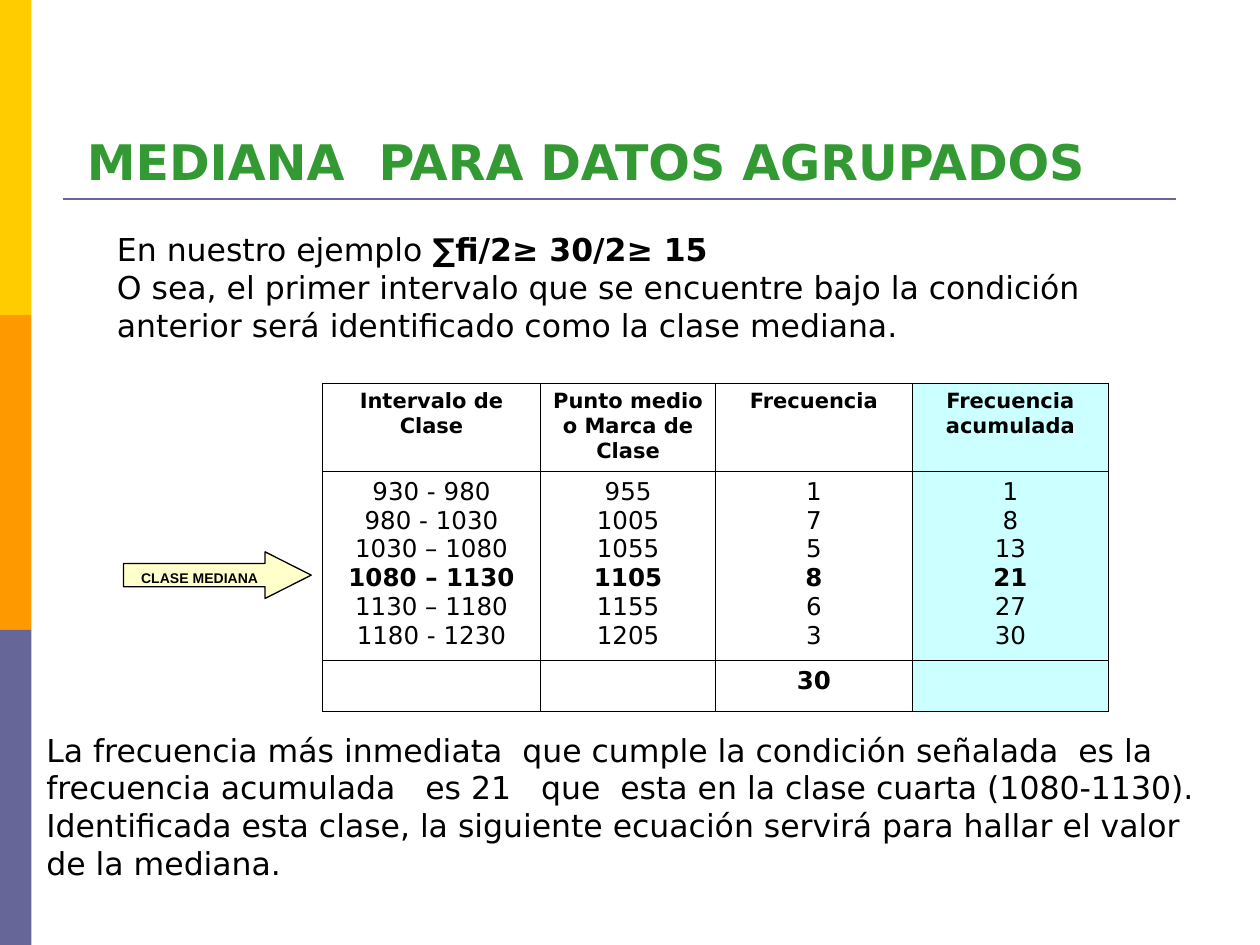
from lxml import etree
from pptx import Presentation
from pptx.dml.color import RGBColor
from pptx.enum import shapes, text
from pptx.oxml import ns
from pptx.util import Inches, Pt

INK = {
    "gold": "FFCC00", "orange": "FF9900", "slate": "666699",
    "green": "339933", "cream": "FFFFCC", "cyan": "CCFFFF", "black": "000000",
}
FONT = "DejaVu Sans"
HEADS = ["Intervalo de Clase", "Punto medio o Marca de Clase",
         "Frecuencia", "Frecuencia acumulada"]
DATA = [
    ["930 - 980", "955", "1", "1"],
    ["980 - 1030", "1005", "7", "8"],
    ["1030 – 1080", "1055", "5", "13"],
    ["1080 – 1130", "1105", "8", "21"],
    ["1130 – 1180", "1155", "6", "27"],
    ["1180 - 1230", "1205", "3", "30"],
]
MEDIAN = 3


def color(name):
    return RGBColor.from_string(INK[name])


def place(item, box):
    item.left, item.top, item.width, item.height = map(Inches, box)


def add_run(para, words, size, bold=False, ink="black", face=FONT):
    run = para.add_run()
    run.text = words
    run.font.size = Pt(size)
    run.font.bold = bold
    run.font.name = face
    run.font.color.rgb = color(ink)


def add_paras(frame, paras, size, align=text.PP_ALIGN.LEFT):
    for i, runs in enumerate(paras):
        para = frame.add_paragraph() if i else frame.paragraphs[0]
        para.alignment = align
        for words, bold in runs:
            add_run(para, words, size, bold)


def add_title(slide, words, box):
    title = slide.shapes.title
    place(title, box)
    frame = title.text_frame
    frame.auto_size = text.MSO_AUTO_SIZE.NONE
    frame.vertical_anchor = text.MSO_ANCHOR.TOP
    para = frame.paragraphs[0]
    para.alignment = text.PP_ALIGN.LEFT
    add_run(para, words, 28, True, "green")


def add_note(slide, paras, box):
    frame = slide.shapes.add_textbox(*map(Inches, box)).text_frame
    frame.word_wrap = True
    add_paras(frame, paras, 18)


def add_block(slide, kind, box, ink):
    block = slide.shapes.add_shape(kind, *map(Inches, box))
    block.shadow.inherit = False
    block.fill.solid()
    block.fill.fore_color.rgb = color(ink)
    block.line.fill.background()
    return block


def add_rule(slide, start, end):
    rule = slide.shapes.add_connector(
        shapes.MSO_CONNECTOR.STRAIGHT, *map(Inches, start + end))
    rule.line.color.rgb = color("slate")
    rule.line.width = Pt(1.5)
    etree.SubElement(rule._element.spPr, ns.qn("a:effectLst"))


def add_arrow(slide, words, box):
    arrow = add_block(slide, shapes.MSO_SHAPE.RIGHT_ARROW, box, "cream")
    arrow.adjustments[0] = 0.5
    arrow.adjustments[1] = 0.99
    arrow.line.color.rgb = color("black")
    arrow.line.width = Pt(0.75)
    frame = arrow.text_frame
    frame.margin_left = Inches(0.14)
    frame.vertical_anchor = text.MSO_ANCHOR.TOP
    para = frame.paragraphs[0]
    para.alignment = text.PP_ALIGN.LEFT
    add_run(para, words, 8, True, face="Arial")


def add_edges(cell):
    props = cell._tc.get_or_add_tcPr()
    for i, side in enumerate(("lnL", "lnR", "lnT", "lnB")):
        edge = etree.Element(ns.qn(f"a:{side}"), w=str(Pt(0.45)))
        fill = etree.SubElement(edge, ns.qn("a:solidFill"))
        etree.SubElement(fill, ns.qn("a:srgbClr"), val=INK["black"])
        props.insert(i, edge)


def add_grid(slide, box, cols, rows):
    grid = slide.shapes.add_table(
        len(rows), len(cols), *map(Inches, box)).table
    grid.first_row = grid.horz_banding = False
    for col, width in zip(grid.columns, cols):
        col.width = Inches(width)
    for row, height in zip(grid.rows, rows):
        row.height = Inches(height)
    last = len(cols) - 1
    for r in range(len(rows)):
        for c in range(len(cols)):
            cell = grid.cell(r, c)
            if c == last:
                cell.fill.solid()
                cell.fill.fore_color.rgb = color("cyan")
            else:
                cell.fill.background()
            add_edges(cell)
    mid = text.PP_ALIGN.CENTER
    for c, head in enumerate(HEADS):
        add_paras(grid.cell(0, c).text_frame, [[(head, True)]], 12, mid)
        paras = [[(row[c], i == MEDIAN)] for i, row in enumerate(DATA)]
        add_paras(grid.cell(1, c).text_frame, paras, 14, mid)
    total = str(sum(int(row[2]) for row in DATA))
    add_paras(grid.cell(2, 2).text_frame, [[(total, True)]], 14, mid)


def main():
    deck = Presentation()
    deck.slide_width, deck.slide_height = Inches(10), Inches(7.5)
    slide = deck.slides.add_slide(deck.slide_layouts[5])
    for i, ink in enumerate(("gold", "orange", "slate")):
        add_block(slide, shapes.MSO_SHAPE.RECTANGLE,
                  (0, 2.5 * i, 0.25, 2.5), ink)
    add_rule(slide, (0.5, 1.58), (9.33, 1.58))
    add_title(slide, "MEDIANA  PARA DATOS AGRUPADOS", (0.59, 0.99, 8.58, 0.57))
    add_arrow(slide, "CLASE MEDIANA", (0.98, 4.38, 1.49, 0.37))
    add_grid(slide, (2.56, 3.04, 6.24, 2.53),
             (1.73, 1.39, 1.56, 1.56), (0.7, 1.5, 0.33))
    add_note(slide, [
        [("En nuestro ejemplo ", False), ("∑fi/2≥ 30/2≥ 15", True)],
        [("O sea, el primer intervalo que se encuentre bajo la condición "
          "anterior será identificado como la clase mediana.", False)],
    ], (0.83, 1.78, 8.11, 1))
    add_note(slide, [
        [("La frecuencia más inmediata  que cumple la condición señalada  "
          "es la frecuencia acumulada   es 21   que  esta en la clase "
          "cuarta (1080-1130).", False)],
        [("Identificada esta clase, la siguiente ecuación servirá para "
          "hallar el valor de la mediana.", False)],
    ], (0.27, 5.75, 9.53, 1.6))
    deck.save("out.pptx")


if __name__ == "__main__":
    main()
